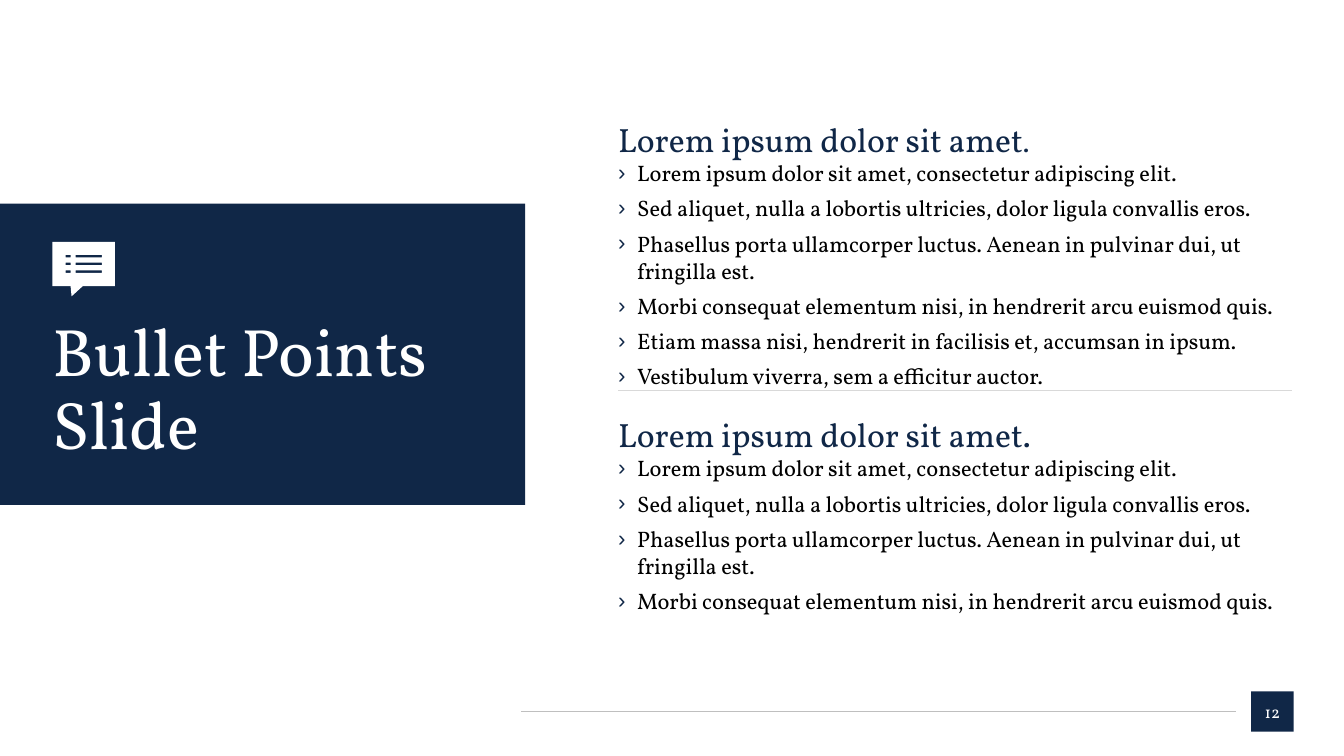
from dataclasses import dataclass

from lxml import etree
from pptx import Presentation
from pptx.dml.color import RGBColor
from pptx.enum.shapes import MSO_CONNECTOR, MSO_SHAPE
from pptx.enum.text import MSO_ANCHOR, MSO_AUTO_SIZE, PP_ALIGN
from pptx.oxml.ns import qn
from pptx.util import Inches, Pt

FONT = "Vollkorn"
COLORS = {"navy": "102747", "white": "FFFFFF", "black": "000000",
          "footer_rule": "BFBFBF", "divider": "D9D9D9"}
BULLETS = [
    "Lorem ipsum dolor sit amet, consectetur adipiscing elit.",
    "Sed aliquet, nulla a lobortis ultricies, dolor ligula convallis eros.",
    "Phasellus porta ullamcorper luctus. Aenean in pulvinar dui, ut fringilla est.",
    "Morbi consequat elementum nisi, in hendrerit arcu euismod quis.",
    "Etiam massa nisi, hendrerit in facilisis et, accumsan in ipsum.",
    "Vestibulum viverra, sem a efficitur auctor.",
]


@dataclass(frozen=True)
class Box:
    """A rectangle in inches."""
    left: float
    top: float
    width: float
    height: float

    def corners(self) -> list:
        """Return the corners anticlockwise from the top left."""
        right, bottom = self.left + self.width, self.top + self.height
        return [(self.left, self.top), (self.left, bottom),
                (right, bottom), (right, self.top)]


@dataclass(frozen=True)
class Section:
    """A headed bullet list."""
    placeholder: int
    box: Box
    stop_size: int
    bullets: list


@dataclass(frozen=True)
class Rule:
    """A thin horizontal line."""
    left: float
    right: float
    y: float
    color: str


SECTIONS = [Section(1, Box(6.13, 1.18, 6.68, 2.44), 20, BULLETS),
            Section(2, Box(6.13, 4.11, 6.68, 1.73), 24, BULLETS[:4])]
RULES = [Rule(5.17, 12.26, 7.06, "footer_rule"), Rule(6.13, 12.81, 3.87, "divider")]
BUBBLE = [(0.52, 2.4), (1.14, 2.4), (1.14, 2.84), (0.82, 2.84),
          (0.71, 2.94), (0.7, 2.84), (0.52, 2.84)]
BUBBLE_HOLES = [Box(left, 2.53 + row * 0.076, width, 0.025)
                for left, width in ((0.65, 0.05), (0.75, 0.26)) for row in range(3)]


def rgb(name: str) -> RGBColor:
    """Look up a palette colour."""
    return RGBColor.from_string(COLORS[name])


def place(shape, box: Box) -> None:
    """Move and size a shape."""
    shape.left, shape.top = Inches(box.left), Inches(box.top)
    shape.width, shape.height = Inches(box.width), Inches(box.height)


def paint(shape, color: str) -> None:
    """Give a shape a flat fill without outline or shadow."""
    shape.shadow.inherit = False
    shape.fill.solid()
    shape.fill.fore_color.rgb = rgb(color)
    shape.line.fill.background()


def add_block(slide, box: Box):
    """Add a navy rectangle."""
    block = slide.shapes.add_shape(MSO_SHAPE.RECTANGLE, 0, 0, 0, 0)
    place(block, box)
    paint(block, "navy")
    return block


def add_run(paragraph, text: str, size: int, color: str) -> None:
    """Append a styled run."""
    run = paragraph.add_run()
    run.text = text
    run.font.name, run.font.size = FONT, Pt(size)
    run.font.color.rgb = rgb(color)


def prepare_frame(shape, anchor):
    """Set the common frame options of a placeholder."""
    frame = shape.text_frame
    frame.word_wrap = True
    frame.auto_size = MSO_AUTO_SIZE.SHAPE_TO_FIT_TEXT
    frame.vertical_anchor = anchor
    frame.margin_left = frame.margin_right = 0
    frame.margin_top = frame.margin_bottom = 0
    return frame


def set_bullet(paragraph, char: str = "") -> None:
    """Give a paragraph a hanging navy bullet, or none."""
    props = paragraph._p.get_or_add_pPr()
    indent = Inches(0.19) if char else 0
    props.set("marL", str(indent))
    props.set("indent", str(-indent))
    if char:
        color = etree.SubElement(props, qn("a:buClr"))
        etree.SubElement(color, qn("a:srgbClr")).set("val", COLORS["navy"])
        etree.SubElement(props, qn("a:buChar")).set("char", char)
    else:
        etree.SubElement(props, qn("a:buNone"))


def fill_title(slide) -> None:
    """Write the slide title."""
    title = slide.shapes.title
    place(title, Box(0.52, 3.15, 4.1, 1.46))
    paragraph = prepare_frame(title, MSO_ANCHOR.MIDDLE).paragraphs[0]
    paragraph.alignment, paragraph.line_spacing = PP_ALIGN.LEFT, 0.9
    add_run(paragraph, "Bullet Points Slide", 48, "white")


def fill_section(slide, section: Section) -> None:
    """Write a heading and its bullets."""
    body = slide.placeholders[section.placeholder]
    place(body, section.box)
    frame = prepare_frame(body, MSO_ANCHOR.TOP)
    heading = frame.paragraphs[0]
    heading.space_before = Pt(0)
    set_bullet(heading)
    add_run(heading, "Lorem ipsum dolor sit amet", 24, "navy")
    add_run(heading, ".", section.stop_size, "navy")
    for text in section.bullets:
        item = frame.add_paragraph()
        item.space_before, item.space_after = Pt(0), Pt(6)
        set_bullet(item, "›")
        add_run(item, text, 16, "black")


def add_rule(slide, rule: Rule) -> None:
    """Draw a thin line."""
    line = slide.shapes.add_connector(
        MSO_CONNECTOR.STRAIGHT, Inches(rule.left), Inches(rule.y),
        Inches(rule.right), Inches(rule.y))
    line.line.color.rgb = rgb(rule.color)
    line.line.width = Pt(0.5)
    etree.SubElement(line.element.spPr, qn("a:effectLst"))


def add_bubble(slide) -> None:
    """Draw the speech bubble with its list cut out."""
    outlines = [BUBBLE] + [hole.corners() for hole in BUBBLE_HOLES]
    contours = [[(Inches(x), Inches(y)) for x, y in points] for points in outlines]
    builder = slide.shapes.build_freeform(*contours[0][0])
    builder.add_line_segments(contours[0][1:])
    for contour in contours[1:]:
        builder.move_to(*contour[0])
        builder.add_line_segments(contour[1:])
    paint(builder.convert_to_shape(), "white")


def add_page_number(slide) -> None:
    """Draw the page number block."""
    block = add_block(slide, Box(12.41, 6.86, 0.42, 0.4))
    frame = block.text_frame
    frame.word_wrap = False
    frame.vertical_anchor = MSO_ANCHOR.MIDDLE
    frame.paragraphs[0].alignment = PP_ALIGN.CENTER
    add_run(frame.paragraphs[0], "12", 12, "white")


def main() -> None:
    """Build and save the slide."""
    deck = Presentation()
    deck.slide_width, deck.slide_height = Inches(13.33), Inches(7.5)
    slide = deck.slides.add_slide(deck.slide_layouts.get_by_name("Two Content"))
    panel = add_block(slide, Box(0, 2.02, 5.21, 2.99))
    slide.shapes.title.element.addprevious(panel.element)
    fill_title(slide)
    for section in SECTIONS:
        fill_section(slide, section)
    for rule in RULES:
        add_rule(slide, rule)
    add_page_number(slide)
    add_bubble(slide)
    deck.save("out.pptx")


main()
